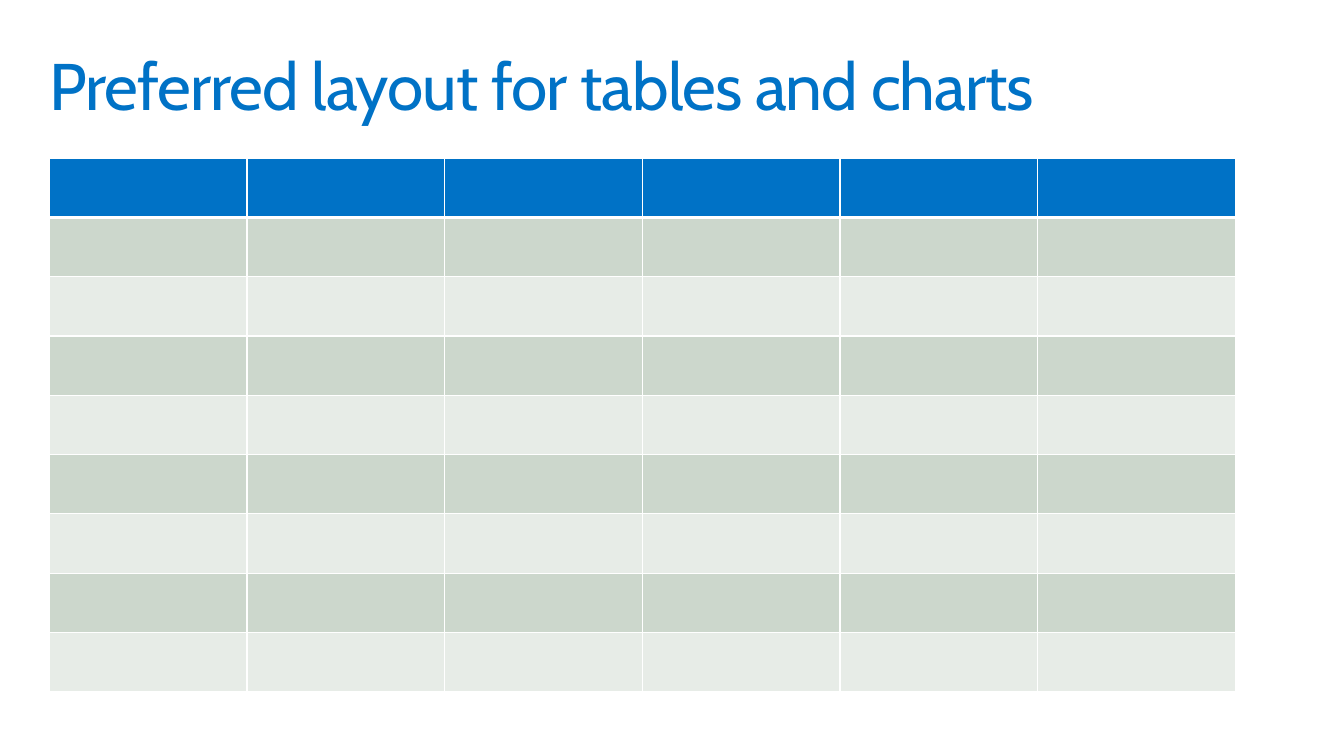
"""Build a slide with a title above an empty banded table."""
from dataclasses import dataclass

from lxml.etree import SubElement
from pptx import Presentation
from pptx.dml.color import RGBColor
from pptx.enum.text import MSO_ANCHOR
from pptx.oxml.ns import qn
from pptx.slide import Slide
from pptx.table import _Cell
from pptx.util import Pt

COLORS = {
    "blue": "0072C6",
    "dark_band": "CCD7CC",
    "light_band": "E7ECE7",
    "rule": "FFFFFF",
}
COLUMNS = 6
BODY_ROWS = 8
COLUMN_WIDTH = 144
ROW_HEIGHT = 43.2
THIN, THICK = 1, 3


@dataclass(frozen=True)
class Band:
    color: str
    top: float = THIN
    bottom: float = THIN


def draw_title(slide: Slide, wording: str) -> None:
    title = slide.shapes.add_textbox(Pt(28.8), Pt(28.8), Pt(921.6), Pt(72))
    frame = title.text_frame
    frame.word_wrap = True
    frame.vertical_anchor = MSO_ANCHOR.MIDDLE
    frame.margin_left = frame.margin_right = Pt(7.2)
    frame.margin_top = frame.margin_bottom = Pt(7.2)
    frame.text = wording
    heading = frame.paragraphs[0]
    heading.line_spacing = 0.9
    run = heading.runs[0]
    run.font.name = "Cabin"
    run.font.size = Pt(48)
    run.font.color.rgb = RGBColor.from_string(COLORS["blue"])
    run._r.get_or_add_rPr().set("spc", "-70")


def style_cell(cell: _Cell, band: Band) -> None:
    properties = cell._tc.get_or_add_tcPr()
    edges = {"lnL": THIN, "lnR": THIN, "lnT": band.top, "lnB": band.bottom}
    for edge, width in edges.items():
        border = SubElement(properties, qn(f"a:{edge}"), w=str(Pt(width)))
        fill = SubElement(border, qn("a:solidFill"))
        SubElement(fill, qn("a:srgbClr"), val=COLORS["rule"])
    cell.fill.solid()
    cell.fill.fore_color.rgb = RGBColor.from_string(COLORS[band.color])


def draw_table(slide: Slide, bands: list[Band]) -> None:
    grid = slide.shapes.add_table(
        len(bands), COLUMNS, Pt(36), Pt(115.2),
        Pt(COLUMNS * COLUMN_WIDTH), Pt(len(bands) * ROW_HEIGHT),
    ).table
    for column in grid.columns:
        column.width = Pt(COLUMN_WIDTH)
    for row, band in zip(grid.rows, bands):
        row.height = Pt(ROW_HEIGHT)
        for cell in row.cells:
            style_cell(cell, band)


def main() -> None:
    deck = Presentation()
    deck.slide_width, deck.slide_height = Pt(979.2), Pt(550.8)
    slide = deck.slides.add_slide(deck.slide_layouts[6])
    draw_title(slide, "Preferred layout for tables and charts")
    header = Band("blue", bottom=THICK)
    body = [
        Band("light_band" if index % 2 else "dark_band",
             top=THIN if index else THICK)
        for index in range(BODY_ROWS)
    ]
    draw_table(slide, [header, *body])
    deck.save("out.pptx")


if __name__ == "__main__":
    main()
